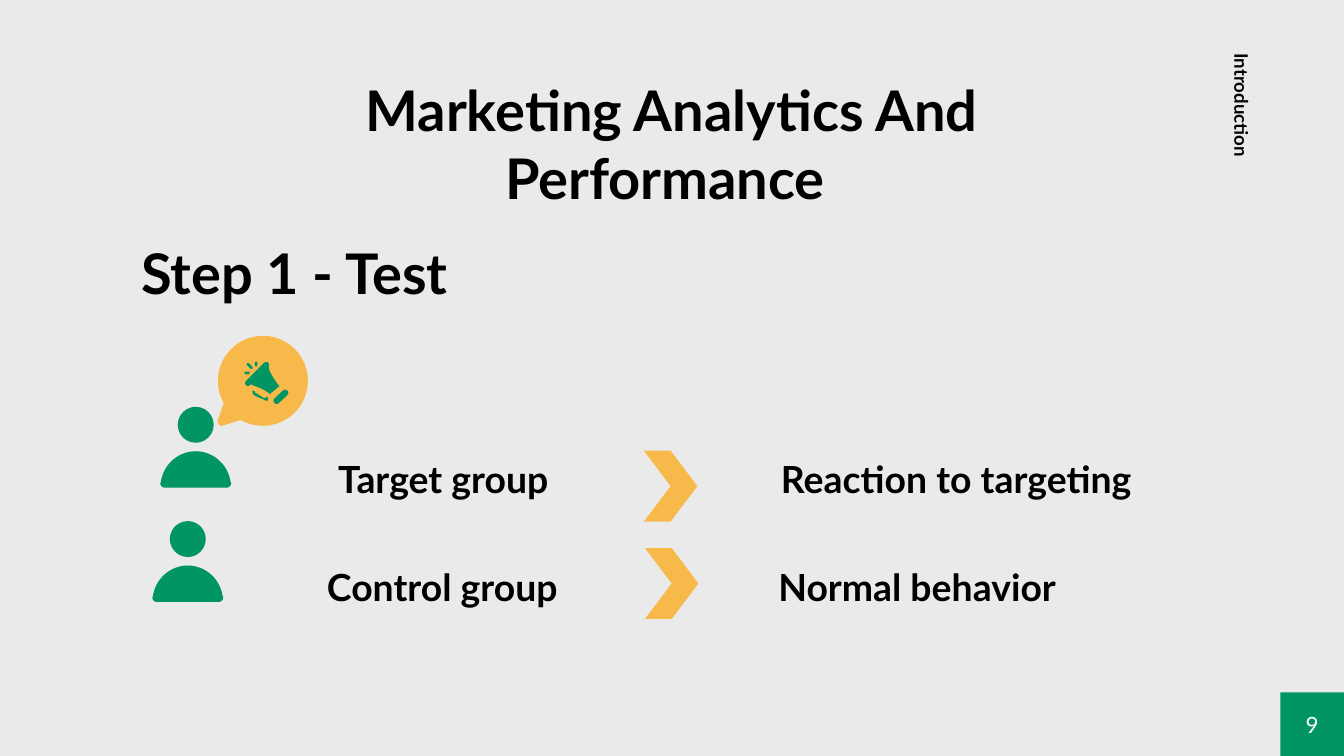
from dataclasses import dataclass

import pptx
import pptx.dml.color
import pptx.enum.shapes
import pptx.enum.text
import pptx.util

Cm, Pt = pptx.util.Cm, pptx.util.Pt
ALIGN = pptx.enum.text.PP_ALIGN
ANCHOR = pptx.enum.text.MSO_ANCHOR
SHAPE = pptx.enum.shapes.MSO_SHAPE

COLORS = {"background": "EAEAEA", "green": "009563", "amber": "F7B949",
          "text": "000000", "section": "030303", "page": "FFFFFF"}
CURVE_STEPS = 12

# Outlines in cm about an anchor point: pairs are line ends, sixes are Bézier curves.
SHOULDERS = [
    (0, 0), (-0.33, 0, -0.61, 0.25, -0.66, 0.58), (-0.69, 0.64, -0.63, 0.69, -0.58, 0.69),
    (0.58, 0.69), (0.63, 0.69, 0.69, 0.64, 0.66, 0.58), (0.61, 0.25, 0.33, 0, 0, 0)]
BUBBLE = [
    (0, -0.85), (-0.47, -0.85, -0.85, -0.47, -0.85, 0), (-0.85, 0.15, -0.81, 0.29, -0.74, 0.42),
    (-0.85, 0.74), (-0.86, 0.78, -0.85, 0.8, -0.83, 0.82), (-0.81, 0.85, -0.77, 0.86, -0.74, 0.84),
    (-0.42, 0.74), (-0.29, 0.81, -0.15, 0.85, 0, 0.85), (0.47, 0.85, 0.85, 0.47, 0.85, 0),
    (0.85, -0.47, 0.47, -0.85, 0, -0.85)]
MEGAPHONE_HORN = [
    (0.1, -0.3), (0.13, -0.18), (0.18, -0.08, 0.23, 0, 0.31, 0.1), (0.13, 0.25),
    (0.05, 0.18, -0.05, 0.13, -0.15, 0.1), (-0.25, 0.05)]
MEGAPHONE_GRIP = [
    (-0.2, 0.18), (-0.15, 0.2), (-0.15, 0.22, -0.15, 0.23, -0.13, 0.23), (0.03, 0.33),
    (0.05, 0.33, 0.05, 0.3, 0.08, 0.3), (0.1, 0.33), (0.1, 0.36),
    (0.08, 0.38, 0.05, 0.38, 0.03, 0.36), (-0.15, 0.28), (-0.2, 0.25, -0.2, 0.2, -0.2, 0.18)]


@dataclass
class Bar:
    x: float
    y: float
    length: float
    thickness: float
    angle: float


@dataclass
class GroupRow:
    group: str
    outcome: str
    text_top: float
    group_left: float
    outcome_left: float
    arrow_left: float
    arrow_top: float
    person_x: float
    person_top: float


MEGAPHONE_BARS = [
    Bar(-0.11, -0.13, 0.6, 0.11, -45),  # rim
    Bar(0.34, 0.3, 0.34, 0.12, -43),  # mouthpiece
    Bar(-0.25, -0.28, 0.14, 0.05, 45),  # sound marks
    Bar(-0.13, -0.32, 0.09, 0.05, 90),
    Bar(-0.3, -0.15, 0.1, 0.05, 0),
]
ROWS = [
    GroupRow("Target group", "Reaction to targeting", 8.59, 4.8, 14.76, 12.17, 8.52, 3.7, 7.69),
    GroupRow("Control group", "Normal behavior", 10.62, 4.78, 14.71, 12.19, 10.36, 3.55, 9.85),
]


def rgb(color: str) -> pptx.dml.color.RGBColor:
    return pptx.dml.color.RGBColor.from_string(COLORS[color])


def paint(shape, color: str):
    shape.shadow.inherit = False
    shape.fill.solid()
    shape.fill.fore_color.rgb = rgb(color)
    shape.line.fill.background()
    return shape


def add_preset(slide, kind, left: float, top: float, width: float, height: float, color: str):
    return paint(slide.shapes.add_shape(kind, Cm(left), Cm(top), Cm(width), Cm(height)), color)


def flatten(outline: list) -> list:
    """Turn lines and cubic curves into a list of points."""
    points = [outline[0]]
    for segment in outline[1:]:
        if len(segment) == 2:
            points.append(segment)
            continue
        x0, y0 = points[-1]
        x1, y1, x2, y2, x3, y3 = segment
        for step in range(1, CURVE_STEPS + 1):
            t = step / CURVE_STEPS
            a, b, c, d = (1 - t) ** 3, 3 * t * (1 - t) ** 2, 3 * t * t * (1 - t), t ** 3
            points.append((a * x0 + b * x1 + c * x2 + d * x3, a * y0 + b * y1 + c * y2 + d * y3))
    return points


def add_outline(slide, outline: list, x: float, y: float, color: str) -> None:
    points = [(Cm(x + dx), Cm(y + dy)) for dx, dy in flatten(outline)]
    builder = slide.shapes.build_freeform(*points[0])
    builder.add_line_segments(points[1:], close=True)
    paint(builder.convert_to_shape(), color)


def write(shape, text: str, size: float, color: str = "text", bold: bool = True,
          align=ALIGN.CENTER, anchor=ANCHOR.MIDDLE, side: float = 0, edge: float = 0.25):
    """Fill a shape with one paragraph; side and edge are its margins in cm."""
    frame = shape.text_frame
    frame.word_wrap = True
    frame.vertical_anchor = anchor
    frame.margin_left = frame.margin_right = Cm(side)
    frame.margin_top = frame.margin_bottom = Cm(edge)
    paragraph = frame.paragraphs[0]
    paragraph.text = text
    paragraph.alignment = align
    paragraph.font.name = "Lato"
    paragraph.font.size = Pt(size)
    paragraph.font.bold = bold
    paragraph.font.color.rgb = rgb(color)
    return paragraph


def add_box(slide, left: float, top: float, width: float, height: float):
    return slide.shapes.add_textbox(Cm(left), Cm(top), Cm(width), Cm(height))


def add_person(slide, x: float, top: float) -> None:
    head = 0.68
    add_preset(slide, SHAPE.OVAL, x - head / 2, top, head, head, "green")
    add_outline(slide, SHOULDERS, x, top + 0.84, "green")


def add_megaphone_bubble(slide, x: float, y: float) -> None:
    add_outline(slide, BUBBLE, x, y, "amber")
    for outline in (MEGAPHONE_HORN, MEGAPHONE_GRIP):
        add_outline(slide, outline, x, y, "green")
    for bar in MEGAPHONE_BARS:
        stroke = add_preset(slide, SHAPE.ROUNDED_RECTANGLE, x + bar.x - bar.length / 2,
                            y + bar.y - bar.thickness / 2, bar.length, bar.thickness, "green")
        stroke.adjustments[0] = 0.5
        stroke.rotation = bar.angle


def add_group_row(slide, row: GroupRow) -> None:
    add_person(slide, row.person_x, row.person_top)
    add_preset(slide, SHAPE.CHEVRON, row.arrow_left, row.arrow_top, 1.01, 1.34, "amber")
    for text, left, align in ((row.group, row.group_left, ALIGN.CENTER),
                              (row.outcome, row.outcome_left, ALIGN.LEFT)):
        write(add_box(slide, left, row.text_top, 7.16, 1.78), text, 20,
              align=align, anchor=ANCHOR.TOP, edge=0.04)


def main() -> None:
    deck = pptx.Presentation()
    deck.slide_width, deck.slide_height = Cm(25.4), Cm(14.29)
    slide = deck.slides.add_slide(deck.slide_layouts[6])
    slide.background.fill.solid()
    slide.background.fill.fore_color.rgb = rgb("background")

    page_number = add_preset(slide, SHAPE.RECTANGLE, 24.2, 13.09, 1.2, 1.2, "green")
    write(page_number, "9", 12, "page", bold=False, side=0.25)

    section = add_box(slide, 21.44, 1.88, 3.5, 1.27)
    section.rotation = 90
    section_line = write(section, "Introduction", 10, "section", align=ALIGN.LEFT,
                         anchor=ANCHOR.TOP, side=0.25)
    section_line.line_spacing = 0.9

    write(add_box(slide, 4.11, 1.09, 17.17, 3.23), "Marketing Analytics And Performance ", 30)
    write(add_box(slide, -3.02, 3.96, 17.17, 2.36), "Step 1 - Test", 30)

    for row in ROWS:
        add_group_row(slide, row)
    add_megaphone_bubble(slide, 4.97, 7.2)

    deck.save("out.pptx")


if __name__ == "__main__":
    main()
